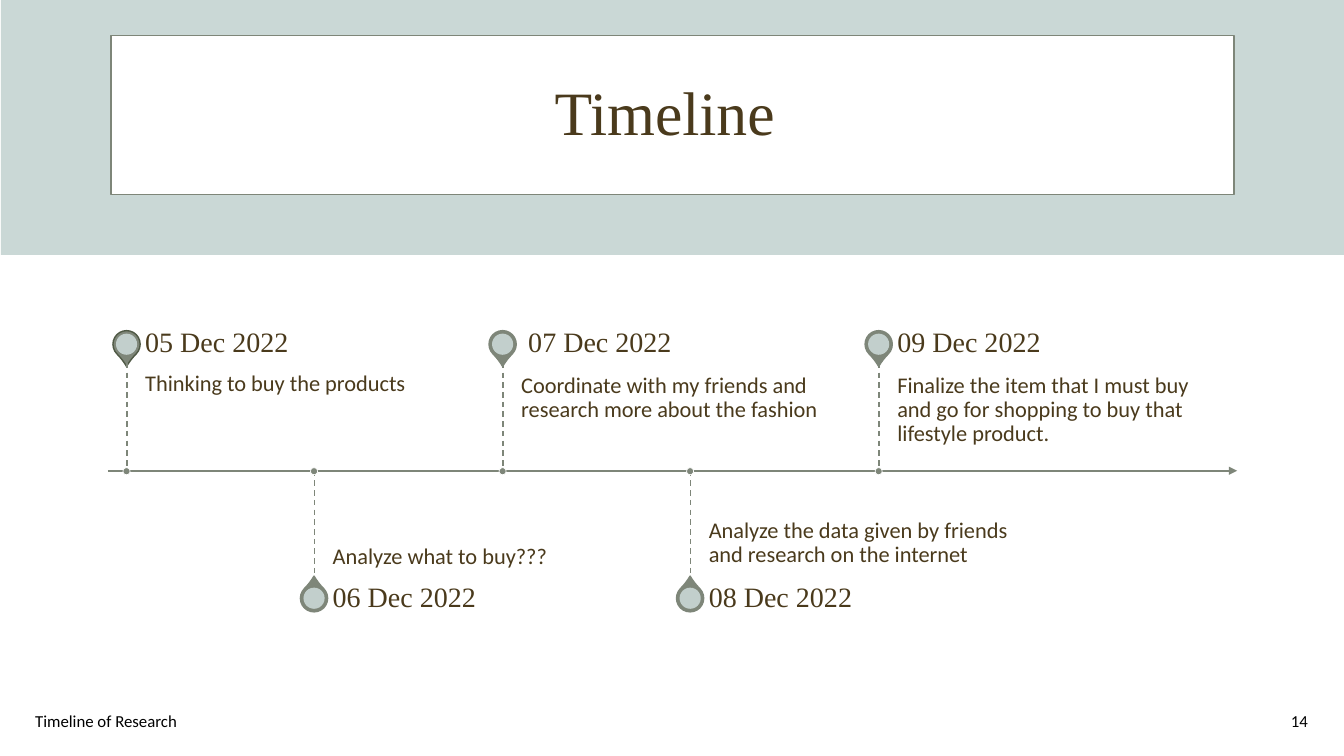
from dataclasses import dataclass

from lxml.etree import SubElement as Sub
from pptx import Presentation
from pptx.dml.color import RGBColor as Rgb
from pptx.enum.dml import MSO_LINE as Dash
from pptx.enum.shapes import MSO_CONNECTOR as Conn, MSO_SHAPE as Kind
from pptx.enum.text import MSO_ANCHOR as Anchor, PP_ALIGN as Align
from pptx.oxml.ns import qn
from pptx.util import Pt

PX = 9144  # 100 px to the inch


@dataclass(frozen=True)
class Theme:
    band: str = "CAD8D6"
    sage: str = "7E8679"
    moss: str = "4F5945"
    brown: str = "4A3A1C"
    white: str = "FFFFFF"
    black: str = "000000"
    serif: str = "Times New Roman"
    sans: str = "Calibri"
    title: int = 44
    date: int = 20
    note: int = 16
    foot: int = 12


LOOK = Theme()

# Axis height, first stop, and the gap from one stop to the next
AXIS, FIRST, STEP = 467, 126, 186.5
STOPS = [
    ("05 Dec 2022", "Thinking to buy the products"),
    ("06 Dec 2022", "Analyze what to buy???"),
    (" 07 Dec 2022", "Coordinate with my friends and research more about the fashion"),
    ("08 Dec 2022", "Analyze the data given by friends and research on the internet"),
    ("09 Dec 2022", "Finalize the item that I must buy and go for shopping to buy that "
                    "lifestyle product."),
]


def px(*nums):
    return [n * PX for n in nums]


def apply(item, form):
    for name, value in form.items():
        setattr(item, name, value)


def write(box, text, face, size, color, align=Align.LEFT, space=1.0,
          anchor=Anchor.MIDDLE, pad=None):
    frame = box.text_frame
    form = {"word_wrap": True, "vertical_anchor": anchor}
    if pad:
        sides = ("margin_left", "margin_top", "margin_right", "margin_bottom")
        form.update(zip(sides, px(*pad)))
    apply(frame, form)
    par = frame.paragraphs[0]
    apply(par, {"alignment": align, "line_spacing": space})
    run = par.add_run()
    run.text = text
    apply(run.font, {"name": face, "size": Pt(size)})
    run.font.color.rgb = Rgb.from_string(color)


def label(slide, at, *args, **form):
    write(slide.shapes.add_textbox(*px(*at)), *args, **form)


def shape(slide, kind, at, fill, line=None, width=1, alpha=None):
    item = slide.shapes.add_shape(kind, *px(*at))
    item.shadow.inherit = False
    item.fill.solid()
    item.fill.fore_color.rgb = Rgb.from_string(fill)
    if alpha:
        tint = next(item.element.spPr.iter(qn("a:srgbClr")))
        Sub(tint, qn("a:alpha")).set("val", str(alpha * 1000))
    if line:
        item.line.color.rgb = Rgb.from_string(line)
        item.line.width = Pt(width)
    else:
        item.line.fill.background()
    return item


def rule(slide, ends, width, dash=None, arrow=False):
    item = slide.shapes.add_connector(Conn.STRAIGHT, *px(*ends))
    item.line.color.rgb = Rgb.from_string(LOOK.sage)
    apply(item.line, {"width": Pt(width), "dash_style": dash})
    props = item.element.spPr
    if arrow:
        Sub(props.find(qn("a:ln")), qn("a:tailEnd")).set("type", "triangle")
    Sub(props, qn("a:effectLst"))


def stop(slide, num, date, note):
    x = int(FIRST + num * STEP)
    above = num % 2 == 0
    # Upper stops hang their pin above the axis, lower ones below it
    if above:
        pin, turn, head, body, stem = 328, 135, 322, 360, (360, AXIS)
        anchor, pad = Anchor.TOP, (0, 11, 11, 17)
    else:
        pin, turn, head, body, stem = 580, 315, 575, AXIS, (AXIS, 575)
        anchor, pad = Anchor.BOTTOM, (0, 17, 0, 11)

    # Pin
    drop = shape(slide, Kind.TEAR, (x - 14, pin, 27, 27), LOOK.sage,
                 LOOK.sage if num else LOOK.moss)
    drop.adjustments[0] = 1.15
    drop.rotation = turn
    shape(slide, Kind.OVAL, (x - 11, pin + 3, 21, 21), LOOK.band, alpha=90)

    # Note and date
    label(slide, (x + 18, body, 310, 107), note, LOOK.sans, LOOK.note, LOOK.brown,
          space=0.9, anchor=anchor, pad=pad)
    label(slide, (x + 18, head, 310, 38), date, LOOK.serif, LOOK.date, LOOK.brown,
          space=0.9, pad=(0, 0, 14, 0))

    # Stem and its dot on the axis
    rule(slide, (x, stem[0], x, stem[1]), 1, dash=Dash.DASH)
    shape(slide, Kind.OVAL, (x - 4, AXIS - 3, 7, 7), LOOK.sage, LOOK.white, 0.5)


def header(slide):
    shape(slide, Kind.RECTANGLE, (1, 0, 1333, 253), LOOK.band)
    shape(slide, Kind.RECTANGLE, (110, 35, 1114, 158), LOOK.white, LOOK.sage)
    title = slide.shapes.title
    apply(title, dict(zip(("left", "top", "width", "height"), px(42, 42, 1250, 145))))
    write(title, "Timeline ", LOOK.serif, LOOK.title, LOOK.brown,
          align=Align.CENTER, space=0.9)
    # Bring the title in front of its panel
    slide.shapes.element.append(title.element)


def footer(slide):
    label(slide, (25, 695, 450, 40), "Timeline of Research",
          LOOK.sans, LOOK.foot, LOOK.black)
    label(slide, (1007, 695, 300, 40), "14",
          LOOK.sans, LOOK.foot, LOOK.black, align=Align.RIGHT)


def main():
    deck = Presentation()
    apply(deck, dict(zip(("slide_width", "slide_height"), px(1333, 750))))
    slide = deck.slides.add_slide(deck.slide_layouts[5])
    header(slide)
    footer(slide)
    # Axis, then the stops along it
    rule(slide, (107, AXIS, 1227, AXIS), 1.5, arrow=True)
    for num, (date, note) in enumerate(STOPS):
        stop(slide, num, date, note)
    deck.save("out.pptx")


if __name__ == "__main__":
    main()
